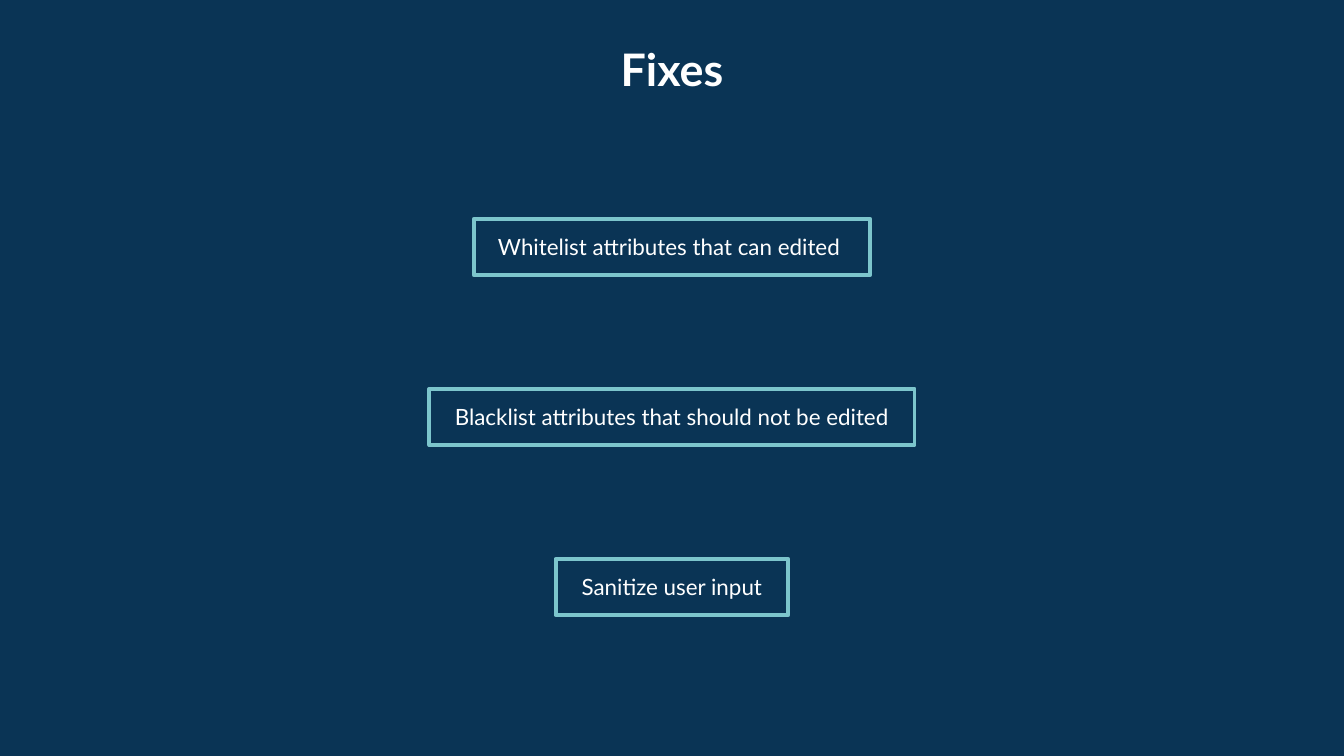
from dataclasses import dataclass

from pptx import Presentation
from pptx.dml.color import RGBColor
from pptx.enum.shapes import MSO_SHAPE as Shape
from pptx.enum.text import MSO_ANCHOR as Anchor, PP_ALIGN as Align
from pptx.util import Pt

TITLE = "Fixes"
# Text and box width of each fix, top to bottom
FIXES = [
    ("Whitelist attributes that can edited ", 212.4),
    ("Blacklist attributes that should not be edited", 260),
    ("Sanitize user input", 124.6),
]

SLIDE_WIDTH, SLIDE_HEIGHT = 720, 405
TITLE_TOP, TITLE_WIDTH, TITLE_HEIGHT = 15.1, 410.4, 74.2
FIRST_TOP, STEP, BOX_HEIGHT = 117.2, 91.1, 30.2
INSET = 7.2


@dataclass(frozen=True)
class Theme:
    navy: RGBColor = RGBColor.from_string("0A3455")
    teal: RGBColor = RGBColor.from_string("7CC5CC")
    white: RGBColor = RGBColor.from_string("FFFFFF")
    font: str = "Lato"
    title_size: int = 24
    body_size: int = 12
    border: int = 2


theme = Theme()


def write(box, text, *, size, bold=False, anchor=Anchor.MIDDLE):
    frame = box.text_frame
    frame.word_wrap = True
    frame.vertical_anchor = anchor
    frame.margin_left = frame.margin_right = Pt(INSET)
    frame.margin_top = frame.margin_bottom = Pt(INSET)
    para = frame.paragraphs[0]
    para.alignment = Align.CENTER
    span = para.add_run()
    span.text = text
    span.font.name = theme.font
    span.font.size = Pt(size)
    span.font.bold = bold
    span.font.color.rgb = theme.white


def centred(top, width, height):
    """Return left, top, width and height, centred across the slide."""
    return Pt((SLIDE_WIDTH - width) / 2), Pt(top), Pt(width), Pt(height)


def add_fix(page, text, top, width):
    box = page.shapes.add_shape(Shape.RECTANGLE, *centred(top, width, BOX_HEIGHT))
    box.shadow.inherit = False
    box.fill.solid()
    box.fill.fore_color.rgb = theme.navy
    box.line.color.rgb = theme.teal
    box.line.width = Pt(theme.border)
    write(box, text, size=theme.body_size)


def main():
    deck = Presentation()
    deck.slide_width, deck.slide_height = Pt(SLIDE_WIDTH), Pt(SLIDE_HEIGHT)
    page = deck.slides.add_slide(deck.slide_layouts[6])
    page.background.fill.solid()
    page.background.fill.fore_color.rgb = theme.navy

    title = page.shapes.add_textbox(*centred(TITLE_TOP, TITLE_WIDTH, TITLE_HEIGHT))
    write(title, TITLE, size=theme.title_size, bold=True, anchor=Anchor.TOP)

    for row, (text, width) in enumerate(FIXES):
        add_fix(page, text, FIRST_TOP + row * STEP, width)

    deck.save("out.pptx")


if __name__ == "__main__":
    main()
